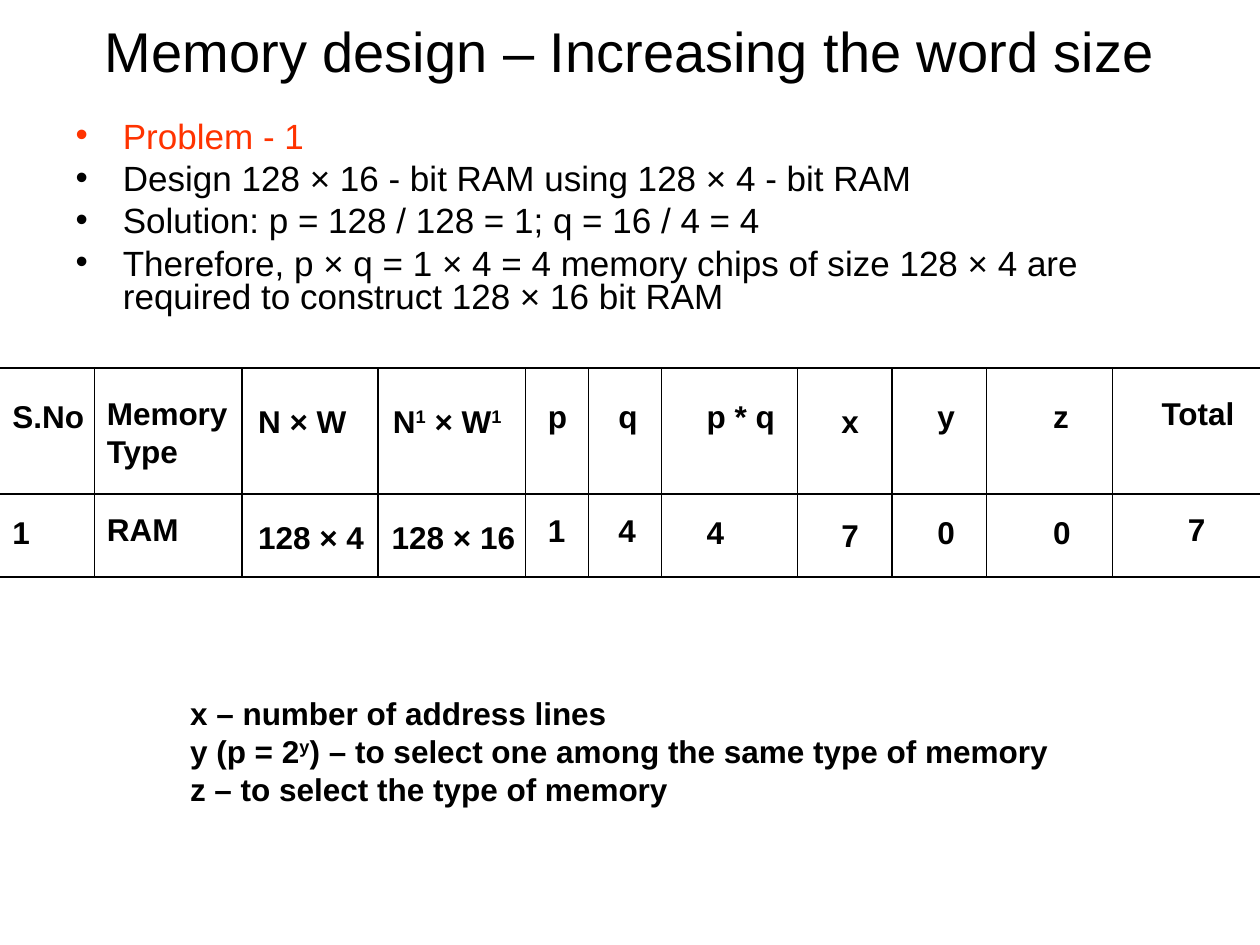
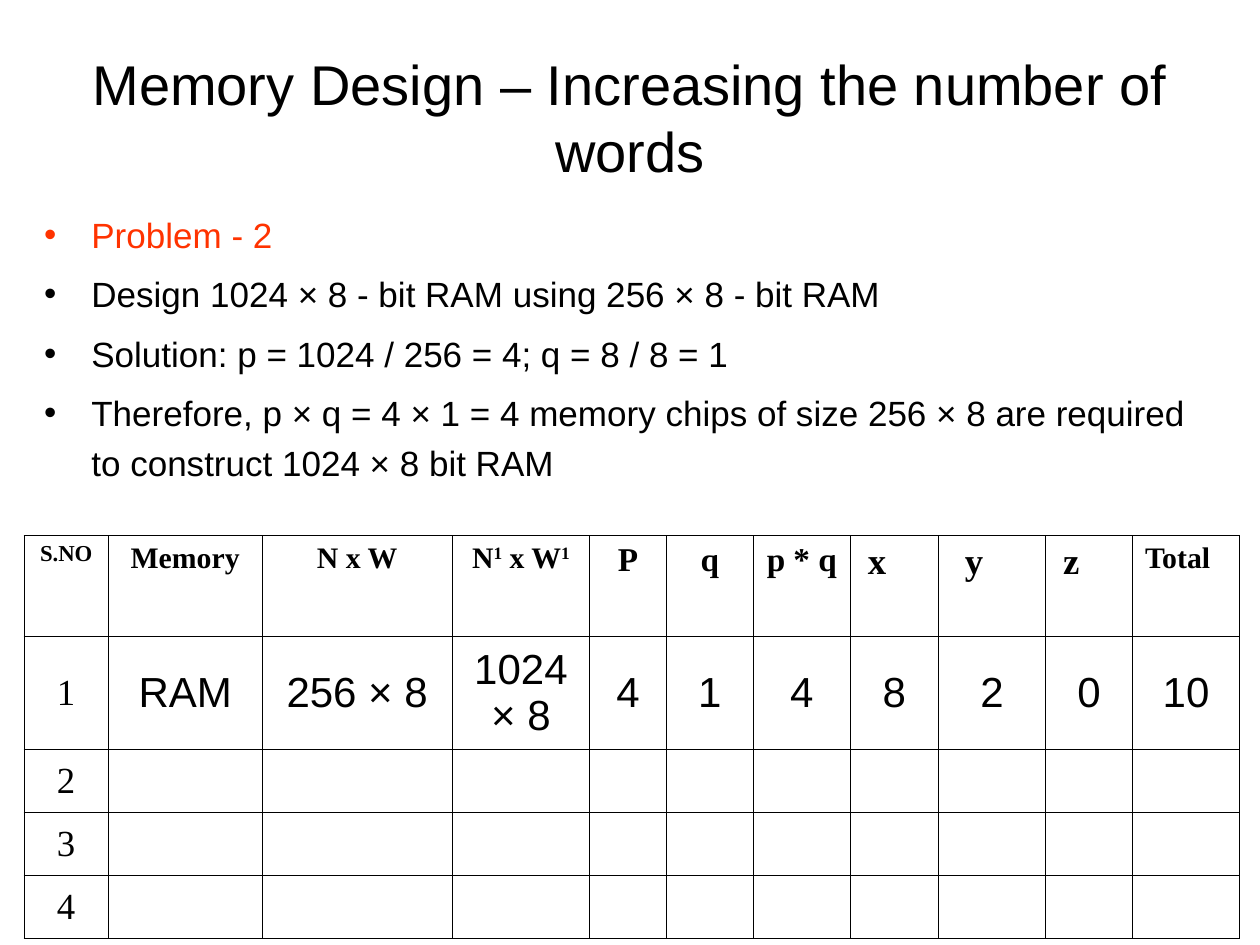
from itertools import accumulate, product

from lxml.etree import SubElement
from pptx import Presentation
from pptx.dml.color import RGBColor
from pptx.enum.shapes import MSO_CONNECTOR
from pptx.enum.text import MSO_ANCHOR, MSO_AUTO_SIZE, PP_ALIGN
from pptx.oxml.ns import qn
from pptx.util import Emu, Pt

PX = 9144  # 100 px to the inch
COLORS = {"ink": "000000", "problem": "FF3300"}
TITLE = {"name": "Arial", "size": 32}
BODY = {"name": "Arial", "size": 20}
LABEL = {"name": "Arial", "size": 18, "bold": True}
SERIF = {"name": "Times New Roman", "size": 21}


def px(value):
    return Emu(value * PX)


def place(shape, box):
    for side, value in zip(("left", "top", "width", "height"), box):
        setattr(shape, side, px(value))


def write(para, text, style, color="ink"):
    """Fill a paragraph; text between ^ marks is raised."""
    for index, part in enumerate(text.split("^")):
        if not part:
            continue
        span = para.add_run()
        span.text = part
        for key, value in style.items():
            setattr(span.font, key, Pt(value) if key == "size" else value)
        span.font.color.rgb = RGBColor.from_string(COLORS[color])
        if index % 2:
            span._r.get_or_add_rPr().set("baseline", "30000")


# Parts that both slides share
def add_title(page, box, text):
    title = page.shapes.title
    place(title, box)
    title.text_frame.vertical_anchor = MSO_ANCHOR.MIDDLE
    para = title.text_frame.paragraphs[0]
    para.alignment = PP_ALIGN.CENTER
    write(para, text, TITLE)


def add_problem(page, box, lines, line_spacing):
    body = page.placeholders[1]
    place(body, box)
    frame = body.text_frame
    frame.auto_size = MSO_AUTO_SIZE.NONE
    for index, line in enumerate(lines):
        para = frame.add_paragraph() if index else frame.paragraphs[0]
        color = "ink" if index else "problem"
        bullet = para._p.get_or_add_pPr()
        SubElement(SubElement(bullet, qn("a:buClr")), qn("a:srgbClr"), val=COLORS[color])
        SubElement(bullet, qn("a:buChar"), char="•")
        para.line_spacing = line_spacing
        para.space_before = Pt(5 if index else 0)
        write(para, line, BODY, color)


# Slide 1: wider words
def add_label(page, box, lines):
    frame = page.shapes.add_textbox(*map(px, box)).text_frame
    frame.word_wrap = False
    for index, line in enumerate(lines):
        para = frame.add_paragraph() if index else frame.paragraphs[0]
        write(para, line, LABEL)


def add_rule(page, start, end):
    rule = page.shapes.add_connector(MSO_CONNECTOR.STRAIGHT, *map(px, start + end))
    rule.line.color.rgb = RGBColor.from_string(COLORS["ink"])
    rule.line.width = Pt(0.75)
    SubElement(rule._element.spPr, qn("a:effectLst"))


def add_word_size_grid(page, box):
    left, top, width, height = box
    # column width, then text, left offset, top offset and width of each label
    columns = [
        (75, ("S.No", 0, 18, 77), ("1", 0, 10, 34)),
        (117, ("Memory\nType", 0, 16, 116), ("RAM", 0, 8, 77)),
        (108, ("N × W", 3, 22, 90), ("128 × 4", 3, 14, 104)),
        (117, ("N^1^ × W^1", 2, 22, 106), ("128 × 16", 1, 14, 118)),
        (50, ("p", 8, 18, 35), ("1", 8, 9, 34)),
        (58, ("q", 14, 18, 35), ("4", 14, 9, 34)),
        (108, ("p * q", 26, 18, 74), ("4", 26, 10, 34)),
        (75, ("x", 25, 22, 50), ("7", 25, 13, 50)),
        (75, ("y", 26, 18, 41), ("0", 26, 10, 41)),
        (100, ("z", 43, 18, 32), ("0", 43, 10, 34)),
        (117, ("Total", 29, 16, 79), ("7", 50, 8, 34)),
    ]
    row_tops = (top, top + 100)
    starts = list(accumulate((column[0] for column in columns), initial=left))

    for start, (_, *labels) in zip(starts, columns):
        for row_top, (text, dx, dy, label_width) in zip(row_tops, labels):
            lines = text.split("\n")
            label_height = 10 + 30 * len(lines)
            add_label(page, (start + dx, row_top + dy, label_width, label_height), lines)

    # The grid is open at both sides
    for y in (*row_tops, top + height):
        add_rule(page, (left, y), (left + width, y))
    for x in starts[1:-1]:
        add_rule(page, (x, top), (x, top + height))


def build_word_size(page):
    add_title(page, (50, 5, 900, 70), "Memory design – Increasing the word size")
    add_problem(page, (50, 92, 900, 183), [
        "Problem - 1",
        "Design 128 × 16 - bit RAM using 128 × 4 - bit RAM",
        "Solution: p = 128 / 128 = 1; q = 16 / 4 = 4",
        "Therefore, p × q = 1 × 4 = 4 memory chips of size 128 × 4 are "
        "required to construct 128 × 16 bit RAM",
    ], 0.8)
    add_word_size_grid(page, (0, 292, 1000, 166))
    add_label(page, (141, 546, 701, 100), [
        "x – number of address lines",
        "y (p = 2^y^) – to select one among the same type of memory",
        "z – to select the type of memory",
    ])


# Slide 2: more words
def draw_borders(cell):
    properties = cell._tc.get_or_add_tcPr()
    for side in "LRTB":
        line = SubElement(properties, qn(f"a:ln{side}"), w=str(Pt(0.45)))
        fill = SubElement(line, qn("a:solidFill"))
        SubElement(fill, qn("a:srgbClr"), val=COLORS["ink"])


def add_grid(page, box, widths, heights):
    frame = page.shapes.add_table(len(heights), len(widths), *map(px, box))
    table = frame.table
    table.first_row = table.horz_banding = False
    for column, width in zip(table.columns, widths):
        column.width = px(width)
    for row, height in zip(table.rows, heights):
        row.height = px(height)
    for row, column in product(range(len(heights)), range(len(widths))):
        cell = table.cell(row, column)
        draw_borders(cell)
        cell.fill.background()
    return table


def fill_cell(cell, text, style, anchor=MSO_ANCHOR.MIDDLE, left=None):
    """Centre the text, or start it at the given left margin."""
    cell.vertical_anchor = anchor
    para = cell.text_frame.paragraphs[0]
    para.alignment = PP_ALIGN.CENTER if left is None else PP_ALIGN.LEFT
    if left is not None:
        cell.margin_left = px(left)
    write(para, text, style)


def add_word_count_table(page, box):
    # width, heading, heading size, value, left margin of uncentred headings
    columns = [
        (67, "S.NO", 13, "1", None),
        (122, "Memory", 17, "RAM", None),
        (151, "N x W", 17, "256 × 8", None),
        (109, "N^1^ x W^1", 17, "1024 × 8", None),
        (61, "P", 19, "4", None),
        (69, "q", 19, "1", None),
        (77, "p * q", 19, "4", None),
        (70, "x", 21, "8", 14),
        (85, "y", 21, "2", 21),
        (69, "z", 21, "0", 14),
        (85, "Total", 17, "10", 10),
    ]
    widths = [column[0] for column in columns]
    table = add_grid(page, box, widths, (80, 90, 50, 50, 50))
    for index, (_, heading, size, value, left) in enumerate(columns):
        heading_style = {**SERIF, "size": size, "bold": True}
        fill_cell(table.cell(0, index), heading, heading_style, MSO_ANCHOR.TOP, left)
        value_style = {"name": "Arial", "size": 24} if index else SERIF
        fill_cell(table.cell(1, index), value, value_style)
    for row in range(2, 5):
        fill_cell(table.cell(row, 0), str(row), SERIF)


def build_word_count(page):
    add_title(page, (50, 30, 900, 125), "Memory Design – Increasing the number of words")
    add_problem(page, (25, 158, 950, 242), [
        "Problem - 2",
        "Design 1024 × 8 - bit RAM using 256 × 8 - bit RAM",
        "Solution: p = 1024 / 256 = 4; q = 8 / 8 = 1",
        "Therefore, p × q = 4 × 1 = 4 memory chips of size 256 × 8 are "
        "required to construct 1024 × 8 bit RAM",
    ], 1.2)
    add_word_count_table(page, (19, 425, 965, 320))


def main():
    deck = Presentation()
    deck.slide_width, deck.slide_height = px(1000), px(750)
    for build in (build_word_size, build_word_count):
        build(deck.slides.add_slide(deck.slide_layouts[1]))
    deck.save("out.pptx")


if __name__ == "__main__":
    main()
